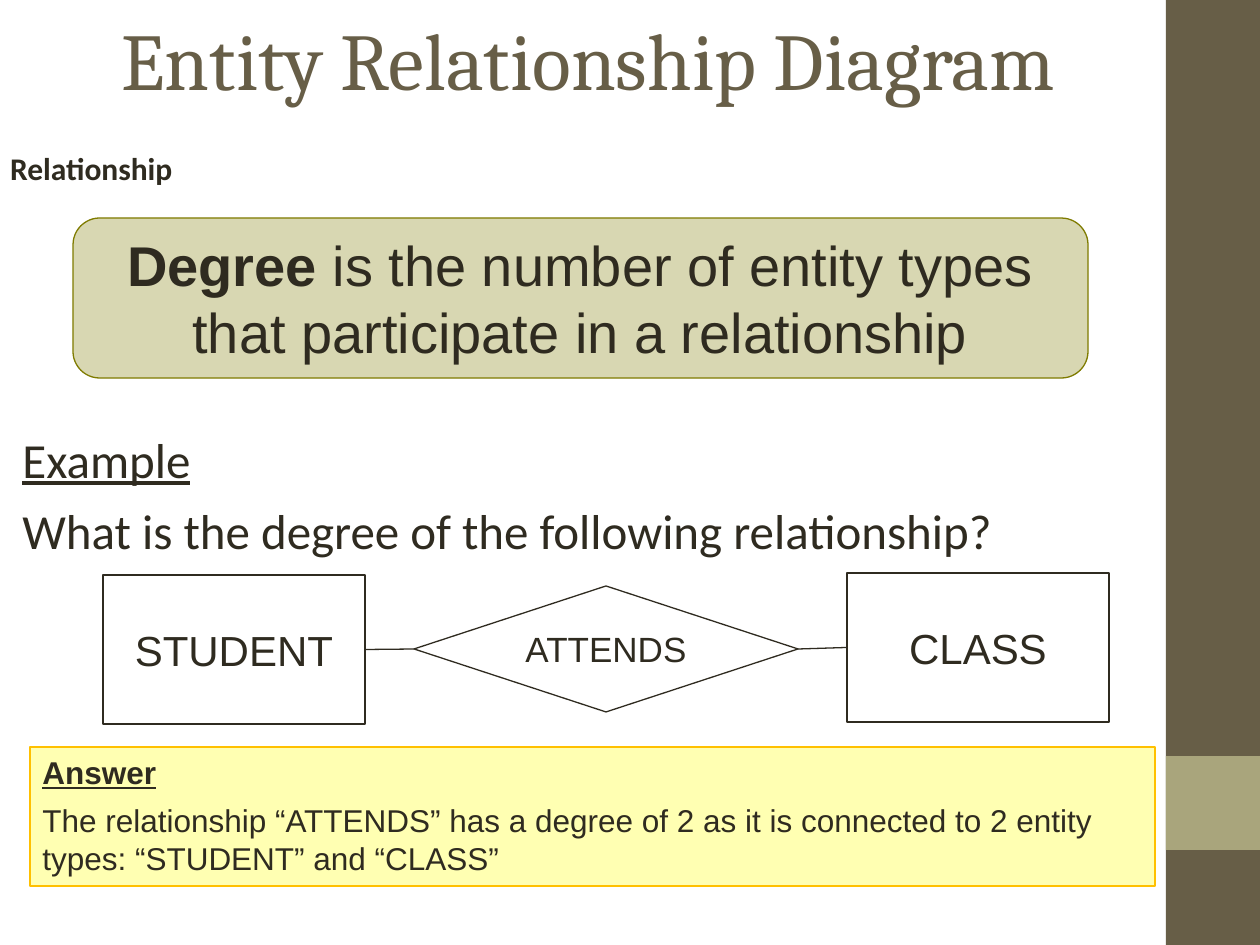
from dataclasses import dataclass
from typing import Any, Optional

import lxml.etree
import pptx
import pptx.dml.color
import pptx.enum.shapes
import pptx.enum.text
import pptx.oxml.ns
import pptx.util

SHAPE = pptx.enum.shapes.MSO_SHAPE
ALIGN = pptx.enum.text.PP_ALIGN
ANCHOR = pptx.enum.text.MSO_ANCHOR
LEFT, RIGHT = 1, 3
SCALE = 914400 / 126


@dataclass(frozen=True)
class Theme:
    brown: str = "675E47"
    sage: str = "A9A57C"
    ink: str = "2F2B20"
    olive: str = "7F7B00"
    white: str = "FFFFFF"
    yellow: str = "FFFF00"
    gold: str = "FFC000"
    head: int = 46
    large: int = 32
    body: int = 28
    name: int = 24
    link: int = 20
    small: int = 18
    stroke: float = 0.75


@dataclass(frozen=True)
class Box:
    x: int
    y: int
    w: int
    h: int
    kind: Any = SHAPE.RECTANGLE
    fill: Optional[str] = None
    line: Optional[str] = None
    alpha: int = 100


@dataclass(frozen=True)
class Run:
    text: str
    bold: bool = False
    under: bool = False


THEME = Theme()


def emu(px: int) -> int:
    return round(px * SCALE)


def color(code: str) -> pptx.dml.color.RGBColor:
    return pptx.dml.color.RGBColor.from_string(code)


def draw(slide: Any, box: Box) -> Any:
    shape = slide.shapes.add_shape(box.kind, *map(emu, (box.x, box.y, box.w, box.h)))
    shape.shadow.inherit = False
    if box.fill:
        shape.fill.solid()
        shape.fill.fore_color.rgb = color(box.fill)
        if box.alpha < 100:
            tint = shape._element.spPr.find(".//" + pptx.oxml.ns.qn("a:srgbClr"))
            alpha = lxml.etree.SubElement(tint, pptx.oxml.ns.qn("a:alpha"))
            alpha.set("val", str(box.alpha * 1000))
    else:
        shape.fill.background()
    if box.line:
        shape.line.color.rgb = color(box.line)
        shape.line.width = pptx.util.Pt(THEME.stroke)
    else:
        shape.line.fill.background()
    return shape


def area(slide: Any, x: int, y: int, w: int, h: int) -> Any:
    """Add an empty text box."""
    return slide.shapes.add_textbox(*map(emu, (x, y, w, h)))


def write(shape: Any, *paras: list[Run], size: int, font: str = "Arial",
          tone: str = THEME.ink, align: Any = ALIGN.LEFT, anchor: Any = ANCHOR.TOP,
          gap: float = 0, pitch: Optional[int] = None, wrap: bool = True,
          inset: tuple[float, float] = (0.1, 0.05)) -> None:
    """Fill a shape; gap is the space between paragraphs, pitch a fixed line height."""
    frame = shape.text_frame
    frame.word_wrap = wrap
    frame.vertical_anchor = anchor
    frame.margin_left = frame.margin_right = pptx.util.Inches(inset[0])
    frame.margin_top = frame.margin_bottom = pptx.util.Inches(inset[1])
    for i, runs in enumerate(paras):
        para = frame.add_paragraph() if i else frame.paragraphs[0]
        para.alignment = align
        if i:
            para.space_before = pptx.util.Pt(gap)
        if pitch:
            para.line_spacing = pptx.util.Pt(pitch)
        for item in runs:
            run = para.add_run()
            run.text = item.text
            run.font.name = font
            run.font.size = pptx.util.Pt(size)
            run.font.bold = item.bold
            run.font.underline = item.under
            run.font.color.rgb = color(tone)


def join(slide: Any, start: Any, end: Any) -> None:
    """Link the right side of one shape to the left side of the next."""
    line = slide.shapes.add_connector(pptx.enum.shapes.MSO_CONNECTOR.STRAIGHT, 0, 0, 0, 0)
    line.begin_connect(start, RIGHT)
    line.end_connect(end, LEFT)
    line.line.color.rgb = color(THEME.ink)
    line.line.width = pptx.util.Pt(THEME.stroke)
    lxml.etree.SubElement(line._element.spPr, pptx.oxml.ns.qn("a:effectLst"))


def main() -> None:
    deck = pptx.Presentation()
    deck.slide_width, deck.slide_height = emu(1260), emu(945)
    slide = deck.slides.add_slide(deck.slide_layouts[6])

    draw(slide, Box(1166, 0, 94, 945, fill=THEME.brown))
    draw(slide, Box(1166, 756, 94, 94, fill=THEME.sage))

    write(area(slide, 63, 0, 1050, 117), [Run("Entity Relationship Diagram")],
          size=THEME.head, font="Cambria", tone=THEME.brown,
          align=ALIGN.CENTER, anchor=ANCHOR.MIDDLE)
    write(area(slide, 0, 155, 199, 44), [Run("Relationship", bold=True)],
          size=THEME.small, font="Calibri", pitch=18, inset=(0.08, 0))

    degree = draw(slide, Box(73, 218, 1015, 160, SHAPE.ROUNDED_RECTANGLE,
                             THEME.olive, THEME.olive, 30))
    write(degree, [Run("Degree", bold=True),
                   Run(" is the number of entity types that participate in a relationship")],
          size=THEME.large, align=ALIGN.CENTER, anchor=ANCHOR.MIDDLE)

    write(area(slide, 10, 423, 1192, 149), [Run("Example", under=True)],
          [Run("What is the degree of the following relationship?")],
          size=THEME.body, font="Calibri", gap=7)

    nodes = [
        ("STUDENT", THEME.name, Box(103, 575, 262, 149, fill=THEME.white, line=THEME.ink)),
        ("ATTENDS", THEME.link, Box(414, 586, 384, 126, SHAPE.DIAMOND, line=THEME.ink)),
        ("CLASS", THEME.name, Box(847, 573, 262, 149, fill=THEME.white, line=THEME.ink)),
    ]
    chain = []
    for label, size, box in nodes:
        node = draw(slide, box)
        write(node, [Run(label)], size=size, align=ALIGN.CENTER,
              anchor=ANCHOR.MIDDLE, wrap=False)
        chain.append(node)
    for start, end in zip(chain, chain[1:]):
        join(slide, start, end)

    answer = draw(slide, Box(30, 747, 1125, 139, fill=THEME.yellow,
                             line=THEME.gold, alpha=30))
    write(answer, [Run("Answer", bold=True, under=True)],
          [Run("The relationship “ATTENDS” has a degree of 2 as it is connected "
               "to 2 entity types: “STUDENT” and “CLASS”")],
          size=THEME.small, gap=6)

    deck.save("out.pptx")


if __name__ == "__main__":
    main()
